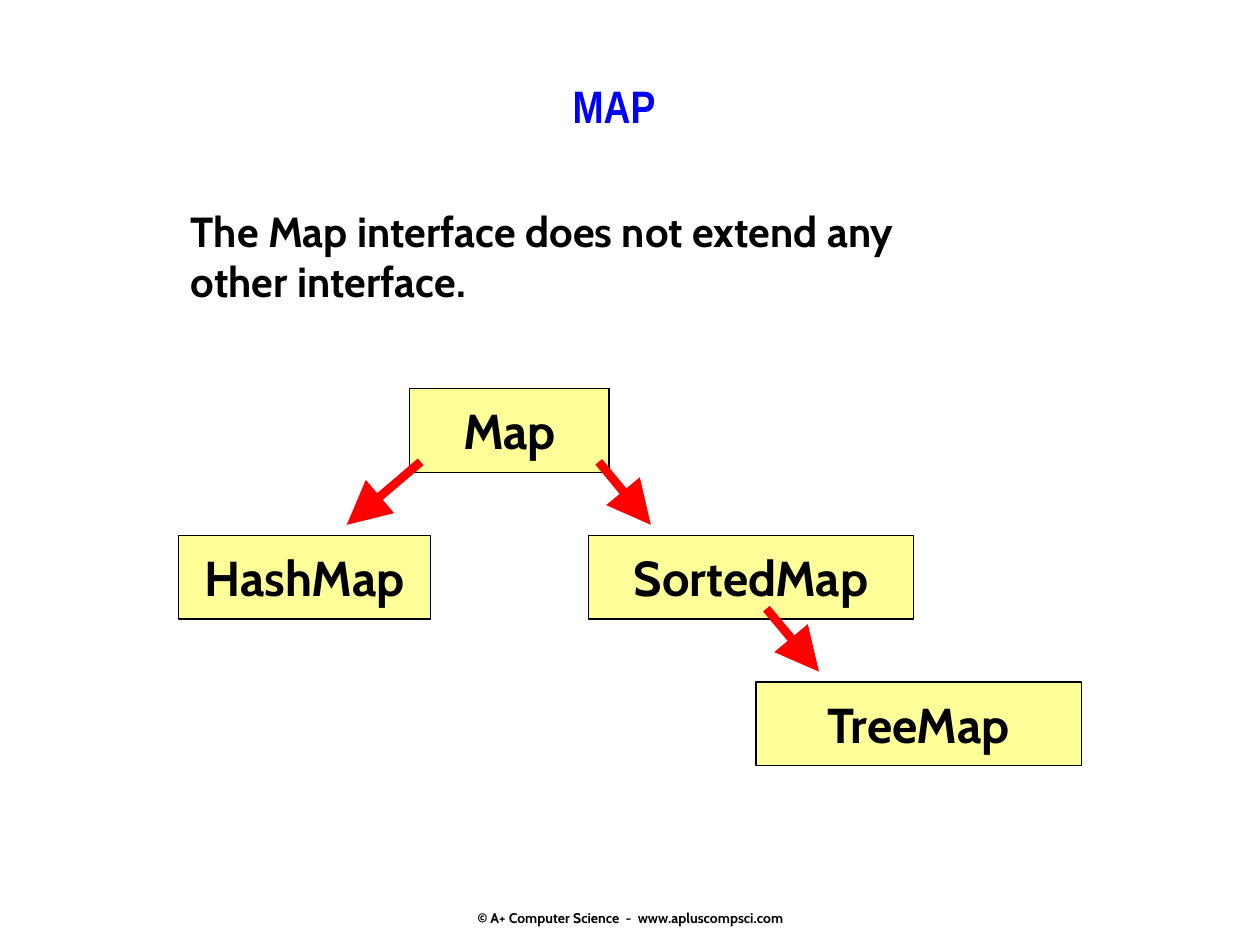
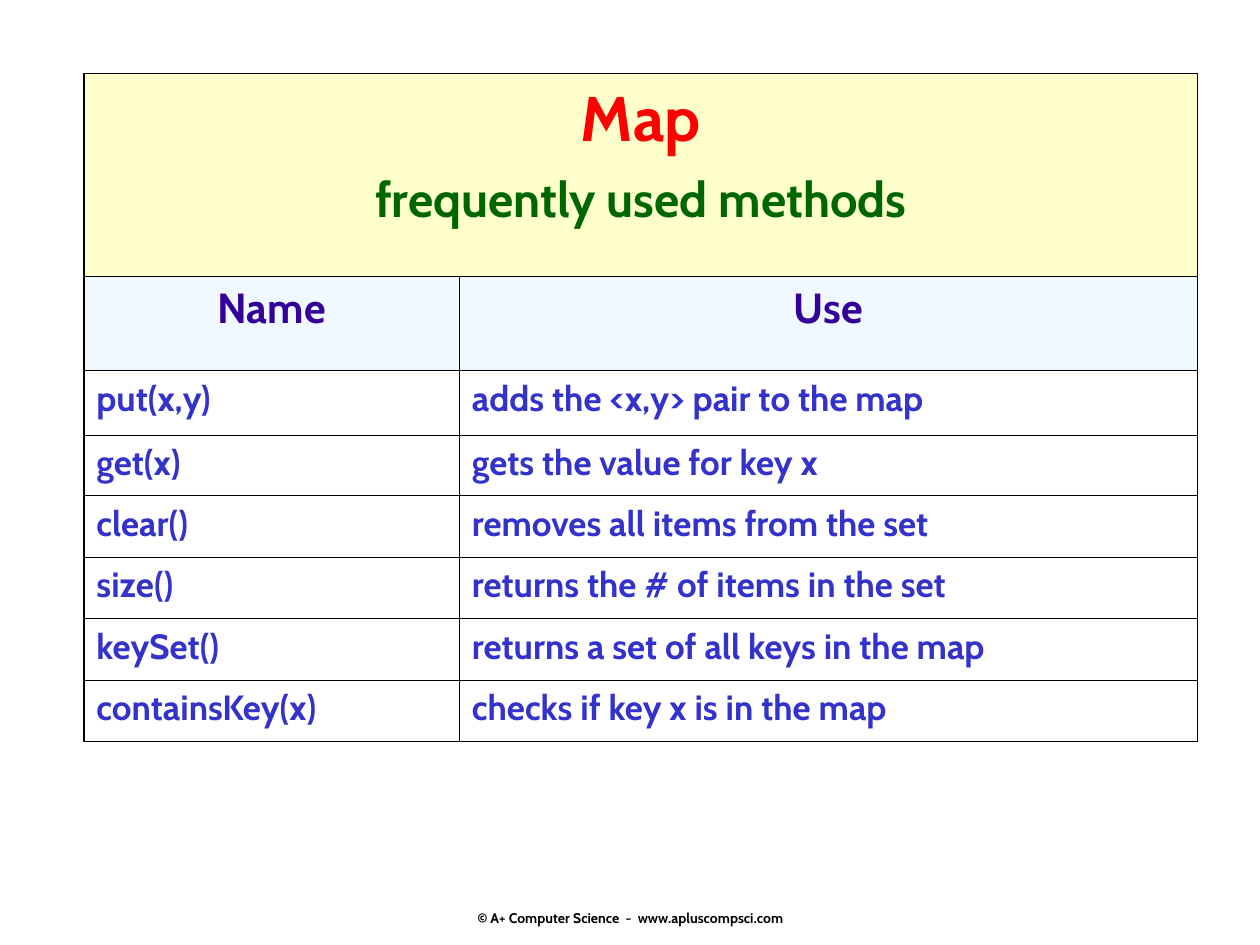
from dataclasses import dataclass
from typing import NamedTuple

from lxml import etree
from pptx import Presentation
from pptx.dml.color import RGBColor
from pptx.enum.shapes import MSO_CONNECTOR, MSO_SHAPE
from pptx.enum.text import MSO_ANCHOR, PP_ALIGN
from pptx.oxml.ns import qn
from pptx.slide import Slide
from pptx.table import _Cell
from pptx.text.text import TextFrame
from pptx.util import Cm, Pt

LEFT, CENTER = PP_ALIGN.LEFT, PP_ALIGN.CENTER
TOP, MIDDLE, BOTTOM = MSO_ANCHOR.TOP, MSO_ANCHOR.MIDDLE, MSO_ANCHOR.BOTTOM
RECTANGLE = MSO_SHAPE.RECTANGLE
STRAIGHT = MSO_CONNECTOR.STRAIGHT


@dataclass(frozen=True)
class Theme:
    font: str = "Cabin"
    title_font: str = "Arial Narrow"
    ink: str = "000000"
    title: str = "0000FF"
    node: str = "FFFF99"
    arrow: str = "FF0000"
    class_name: str = "FF0000"
    subtitle: str = "006600"
    banner: str = "FFFFCC"
    heading: str = "330099"
    heading_fill: str = "E1F4FF"
    method: str = "3333CC"
    footer_size: float = 8
    method_size: float = 20
    body_size: float = 24
    title_size: float = 26
    node_size: float = 28
    class_size: float = 36
    thin: float = 0.45
    thick: float = 1.08
    node_line: float = 0.75
    arrow_line: float = 5


THEME = Theme()


class Node(NamedTuple):
    """A box of the hierarchy; lengths in cm."""
    label: str
    level: int
    left: float
    width: float


class Arrow(NamedTuple):
    """An arrow leaving a level for the next one; lengths in cm."""
    level: int
    start_x: float
    end_x: float


class Method(NamedTuple):
    name: str
    use: str
    height: float = 1.24


# Hierarchy layout, in cm
ROOT_TOP, LEVEL_STEP, NODE_HEIGHT = 7.83, 2.96, 1.69
ARROW_OFFSET, ARROW_DROP = 1.48, 1.27

NODES = [
    Node("Map", 0, 8.26, 4.02),
    Node("HashMap", 1, 3.6, 5.08),
    Node("SortedMap", 1, 11.86, 6.56),
    Node("TreeMap", 2, 15.24, 6.56),
]
ARROWS = [
    Arrow(0, 8.48, 6.99),
    Arrow(0, 12.07, 13.12),
    Arrow(1, 15.45, 16.51),
]
METHODS = [
    Method("put(x,y)", "adds the <x,y> pair to the map", 1.3),
    Method("get(x)", "gets the value for key x", 1.22),
    Method("clear()", "removes all items from the set"),
    Method("size()", "returns the # of items in the set"),
    Method("keySet()", "returns a set of all keys in the map"),
    Method("containsKey(x)", "checks if key x is in the map"),
]


def write(frame: TextFrame, text: str, *, size: float, color: str = THEME.ink,
          font: str = THEME.font, align: PP_ALIGN = LEFT,
          line_spacing: float = 1.0, space_before: float = 0) -> None:
    """Write one bold paragraph, after any text already in the frame."""
    paragraph = frame.add_paragraph() if frame.text else frame.paragraphs[0]
    paragraph.alignment = align
    paragraph.line_spacing = line_spacing
    paragraph.space_before = Pt(space_before)
    run = paragraph.add_run()
    run.text = text
    run.font.name = font
    run.font.size = Pt(size)
    run.font.bold = True
    run.font.color.rgb = RGBColor.from_string(color)


def add_frame(slide: Slide, left: float, top: float, width: float,
              height: float, anchor: MSO_ANCHOR = TOP) -> TextFrame:
    frame = slide.shapes.add_textbox(Cm(left), Cm(top), Cm(width), Cm(height)).text_frame
    frame.word_wrap = True
    frame.vertical_anchor = anchor
    return frame


def add_footer(slide: Slide) -> None:
    footer = add_frame(slide, 8.69, 17.35, 8.05, 1.33, BOTTOM)
    footer.margin_bottom = 0
    write(footer, "© A+ Computer Science  -  www.apluscompsci.com",
          size=THEME.footer_size, align=CENTER)


def level_top(level: int) -> float:
    return ROOT_TOP + level * LEVEL_STEP


def add_node(slide: Slide, node: Node) -> None:
    box = slide.shapes.add_shape(RECTANGLE, Cm(node.left), Cm(level_top(node.level)),
                                 Cm(node.width), Cm(NODE_HEIGHT))
    box.shadow.inherit = False
    box.fill.solid()
    box.fill.fore_color.rgb = RGBColor.from_string(THEME.node)
    box.line.color.rgb = RGBColor.from_string(THEME.ink)
    box.line.width = Pt(THEME.node_line)
    box.text_frame.word_wrap = False
    box.text_frame.vertical_anchor = MIDDLE
    write(box.text_frame, node.label, size=THEME.node_size, align=CENTER)


def add_arrow(slide: Slide, arrow: Arrow) -> None:
    start_y = level_top(arrow.level) + ARROW_OFFSET
    connector = slide.shapes.add_connector(
        STRAIGHT, Cm(arrow.start_x), Cm(start_y),
        Cm(arrow.end_x), Cm(start_y + ARROW_DROP))
    connector.line.color.rgb = RGBColor.from_string(THEME.arrow)
    connector.line.width = Pt(THEME.arrow_line)
    etree.SubElement(connector.line._get_or_add_ln(), qn("a:tailEnd"),
                     type="triangle", w="lg", len="lg")
    etree.SubElement(connector._element.spPr, qn("a:effectLst"))


def fill_cell(cell: _Cell, color: str, opacity: int = 100) -> None:
    cell.fill.solid()
    cell.fill.fore_color.rgb = RGBColor.from_string(color)
    if opacity < 100:
        shade = cell._tc.tcPr.find(f"{qn('a:solidFill')}/{qn('a:srgbClr')}")
        etree.SubElement(shade, qn("a:alpha"), val=str(opacity * 1000))


def set_borders(cell: _Cell, outer: dict[str, bool]) -> None:
    """Draw thick lines on the table's outer sides and thin ones inside."""
    for position, (side, is_outer) in enumerate(outer.items()):
        width = Pt(THEME.thick if is_outer else THEME.thin)
        line = etree.Element(qn(f"a:ln{side}"), w=str(width))
        solid = etree.SubElement(line, qn("a:solidFill"))
        etree.SubElement(solid, qn("a:srgbClr"), val=THEME.ink)
        cell._tc.get_or_add_tcPr().insert(position, line)


def build_hierarchy(slide: Slide) -> None:
    add_footer(slide)
    title = add_frame(slide, 5.08, 1.07, 14.6, 2.11, MIDDLE)
    write(title, "MAP", size=THEME.title_size, color=THEME.title,
          font=THEME.title_font, align=CENTER)
    statement = add_frame(slide, 3.6, 4.01, 17.58, 2.29)
    for line in ("The Map interface does not extend any", "other interface."):
        write(statement, line, size=THEME.body_size)
    for node in NODES:
        add_node(slide, node)
    for arrow in ARROWS:
        add_arrow(slide, arrow)


def build_methods(slide: Slide) -> None:
    add_footer(slide)
    widths = [7.57, 14.88]
    heights = [4.09, 1.9] + [method.height for method in METHODS]
    table = slide.shapes.add_table(len(heights), len(widths), Cm(1.69), Cm(1.48),
                                   Cm(sum(widths)), Cm(sum(heights))).table
    table.first_row = table.horz_banding = False
    for column, width in zip(table.columns, widths):
        column.width = Cm(width)
    for row, height in zip(table.rows, heights):
        row.height = Cm(height)

    # Banner across both columns
    banner = table.cell(0, 0)
    banner.merge(table.cell(0, 1))
    fill_cell(banner, THEME.banner)
    write(banner.text_frame, "Map", size=THEME.class_size, color=THEME.class_name,
          align=CENTER, line_spacing=1.01)
    write(banner.text_frame, "frequently used methods", size=THEME.node_size,
          color=THEME.subtitle, align=CENTER, line_spacing=1.01, space_before=7)

    # Column headings
    for column, heading in enumerate(("Name", "Use")):
        cell = table.cell(1, column)
        fill_cell(cell, THEME.heading_fill, opacity=50)
        write(cell.text_frame, heading, size=THEME.body_size, color=THEME.heading,
              align=CENTER, line_spacing=1.01)

    # One row for each method
    for row, method in enumerate(METHODS, start=2):
        for column, text in enumerate((method.name, method.use)):
            cell = table.cell(row, column)
            cell.fill.background()
            write(cell.text_frame, text, size=THEME.method_size,
                  color=THEME.method, line_spacing=1.01)

    # Borders
    last_row, last_column = len(heights) - 1, len(widths) - 1
    for row in range(len(heights)):
        for column in range(len(widths)):
            set_borders(table.cell(row, column), {
                "L": column == 0,
                "R": column == last_column or row == 0,
                "T": row == 0,
                "B": row == last_row,
            })


def main() -> None:
    deck = Presentation()
    deck.slide_width, deck.slide_height = Cm(25.4), Cm(19.05)
    blank = deck.slide_layouts[6]
    for build in (build_hierarchy, build_methods):
        build(deck.slides.add_slide(blank))
    deck.save("out.pptx")


if __name__ == "__main__":
    main()
